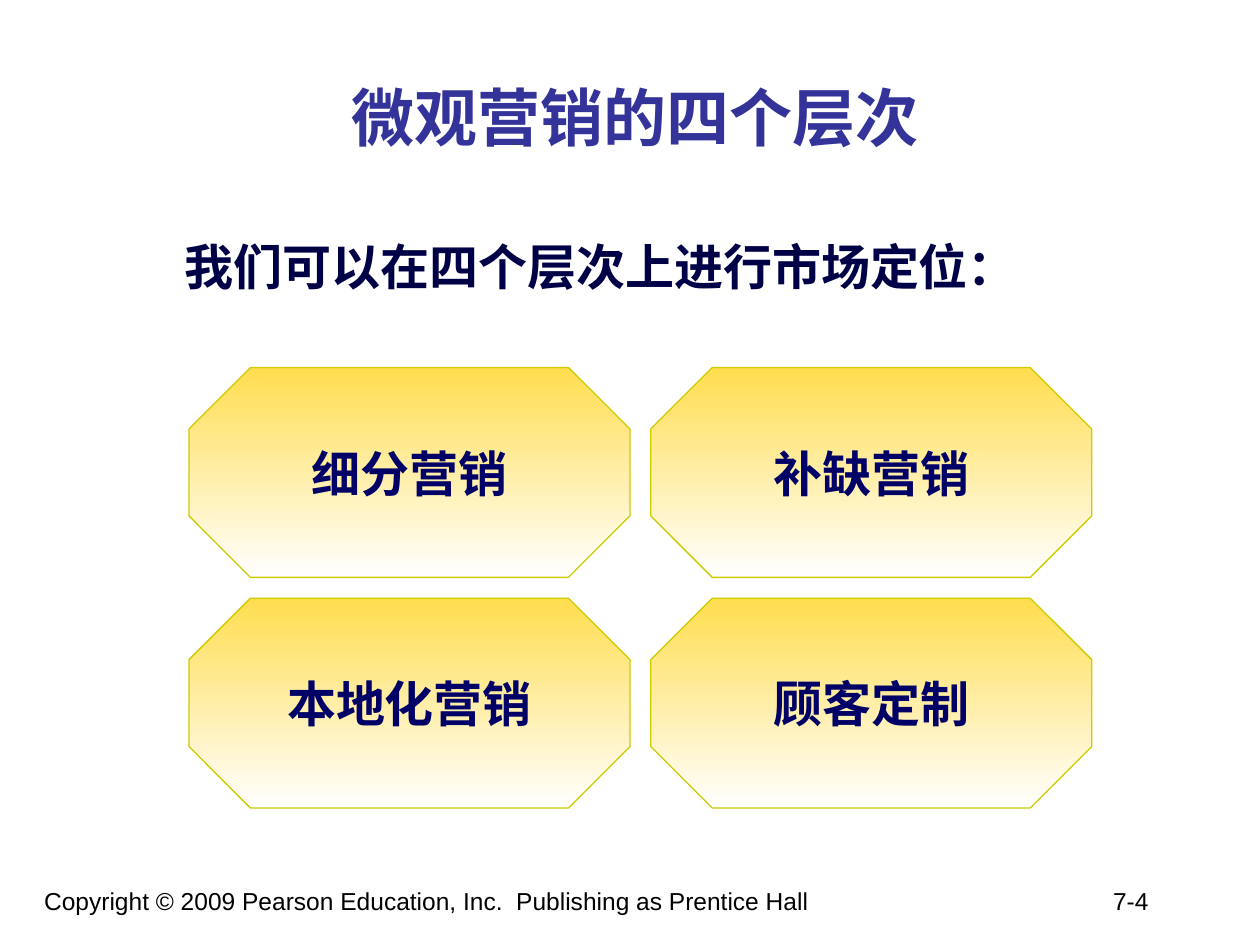
from lxml.etree import SubElement
from pptx import Presentation
from pptx.dml.color import RGBColor
from pptx.enum.shapes import MSO_SHAPE
from pptx.enum.text import MSO_ANCHOR, PP_ALIGN
from pptx.oxml.ns import qn
from pptx.util import Cm, Pt

TITLE_BLUE = RGBColor(0x33, 0x33, 0x99)
INTRO_NAVY = RGBColor(0x00, 0x00, 0x46)
LEVEL_NAVY = RGBColor(0x00, 0x00, 0x66)
GOLD = RGBColor(0xFF, 0xDD, 0x4F)
WHITE = RGBColor(0xFF, 0xFF, 0xFF)
OLIVE = RGBColor(0xCC, 0xCC, 0x00)
BLACK = RGBColor(0x00, 0x00, 0x00)

CHINESE_FONT = "Noto Sans CJK SC"


def write_text(shape, text, color, **font_format):
    """Fill the first paragraph, with a separate font for Chinese characters."""
    paragraph = shape.text_frame.paragraphs[0]
    run = paragraph.add_run()
    run.text = text
    run.font.color.rgb = color
    for attribute, value in font_format.items():
        setattr(run.font, attribute, value)
    SubElement(run.font._element, qn("a:ea"), typeface=CHINESE_FONT)
    return paragraph


presentation = Presentation()
presentation.slide_width = Cm(25.4)
presentation.slide_height = Cm(19.05)
slide = presentation.slides.add_slide(presentation.slide_layouts[6])

# Footer: the page number sits at a tab stop
footer = slide.shapes.add_textbox(Cm(0.64), Cm(17.73), Cm(23.7), Cm(1.32))
footer.text_frame.word_wrap = True
paragraph = footer.text_frame.paragraphs[0]
tab_list = SubElement(paragraph._p.get_or_add_pPr(), qn("a:tabLst"))
SubElement(tab_list, qn("a:tab"), pos=str(Cm(21.55)), algn="l")
write_text(footer, "Copyright © 2009 Pearson Education, Inc.  Publishing as Prentice Hall\t7-4",
           BLACK, name="Arial", size=Pt(14))

# Title and introduction
title = slide.shapes.add_textbox(Cm(2.11), Cm(0.76), Cm(21.39), Cm(3.18))
title.text_frame.word_wrap = True
title.text_frame.vertical_anchor = MSO_ANCHOR.MIDDLE
paragraph = write_text(title, "微观营销的四个层次", TITLE_BLUE,
                       name=CHINESE_FONT, size=Pt(36), bold=True)
paragraph.alignment = PP_ALIGN.CENTER

introduction = slide.shapes.add_textbox(Cm(3.48), Cm(4.65), Cm(17.27), Cm(1.45))
introduction.text_frame.word_wrap = False
write_text(introduction, "我们可以在四个层次上进行市场定位：", INTRO_NAVY,
           name="Arial", size=Pt(28), bold=True)

# Four levels in a two by two grid
LEVELS = [["细分营销", "补缺营销"], ["本地化营销", "顾客定制"]]
LEFT, TOP = 3.81, 7.41
WIDTH, HEIGHT, GAP = 8.89, 4.23, 0.42

for row, names in enumerate(LEVELS):
    for column, name in enumerate(names):
        level = slide.shapes.add_shape(
            MSO_SHAPE.OCTAGON,
            Cm(LEFT + column * (WIDTH + GAP)), Cm(TOP + row * (HEIGHT + GAP)),
            Cm(WIDTH), Cm(HEIGHT))
        level.adjustments[0] = 0.293
        level.shadow.inherit = False
        level.fill.gradient()
        level.fill.gradient_angle = 270
        for stop, color in zip(level.fill.gradient_stops, (GOLD, WHITE)):
            stop.color.rgb = color
        level.line.color.rgb = OLIVE
        level.line.width = Pt(0.75)
        level.text_frame.word_wrap = False
        level.text_frame.vertical_anchor = MSO_ANCHOR.MIDDLE
        paragraph = write_text(level, name, LEVEL_NAVY,
                               name="Arial", size=Pt(28), bold=True)
        paragraph.alignment = PP_ALIGN.CENTER

presentation.save("out.pptx")
